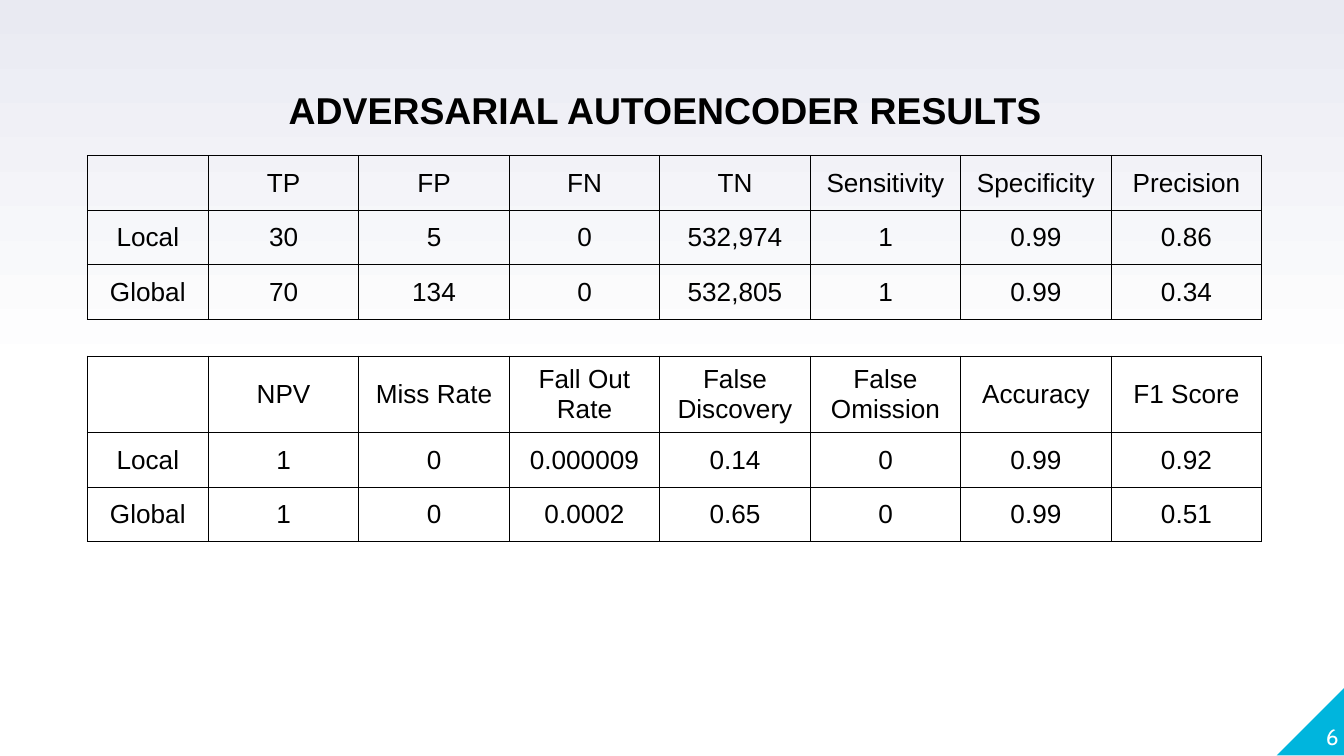
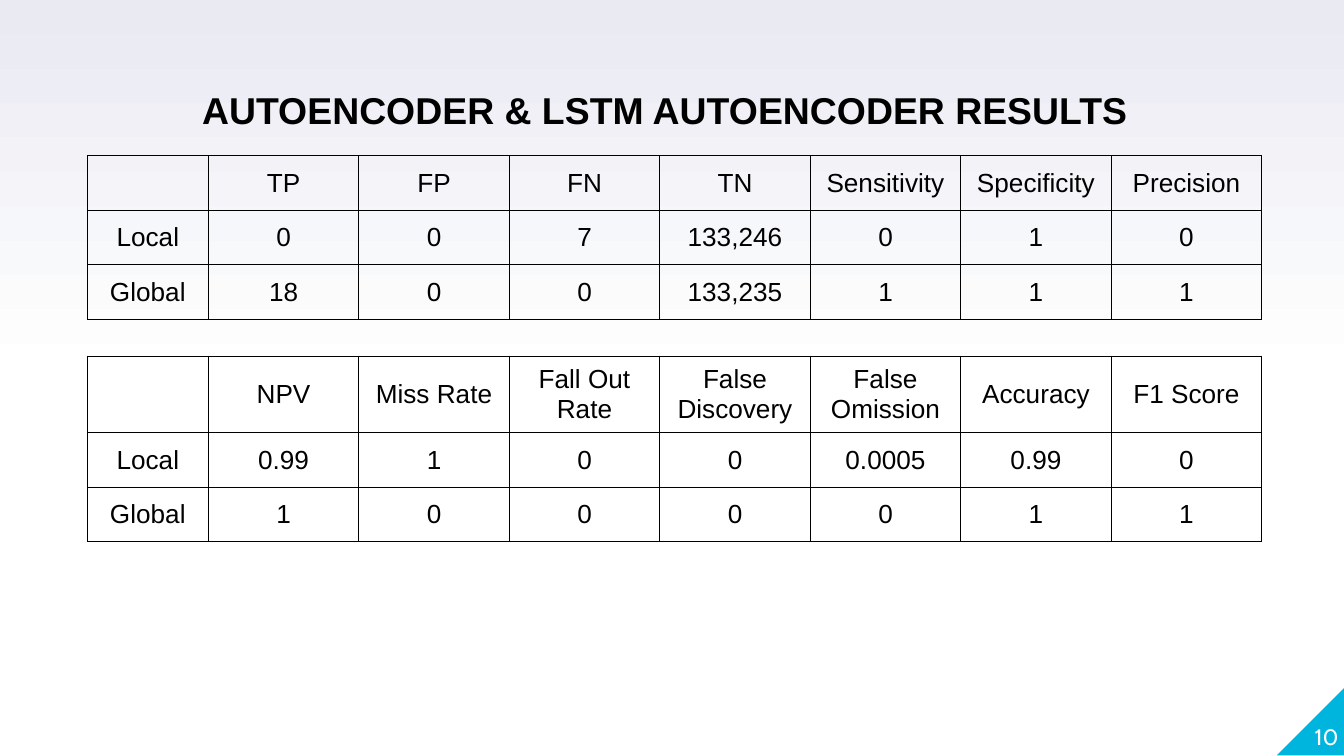
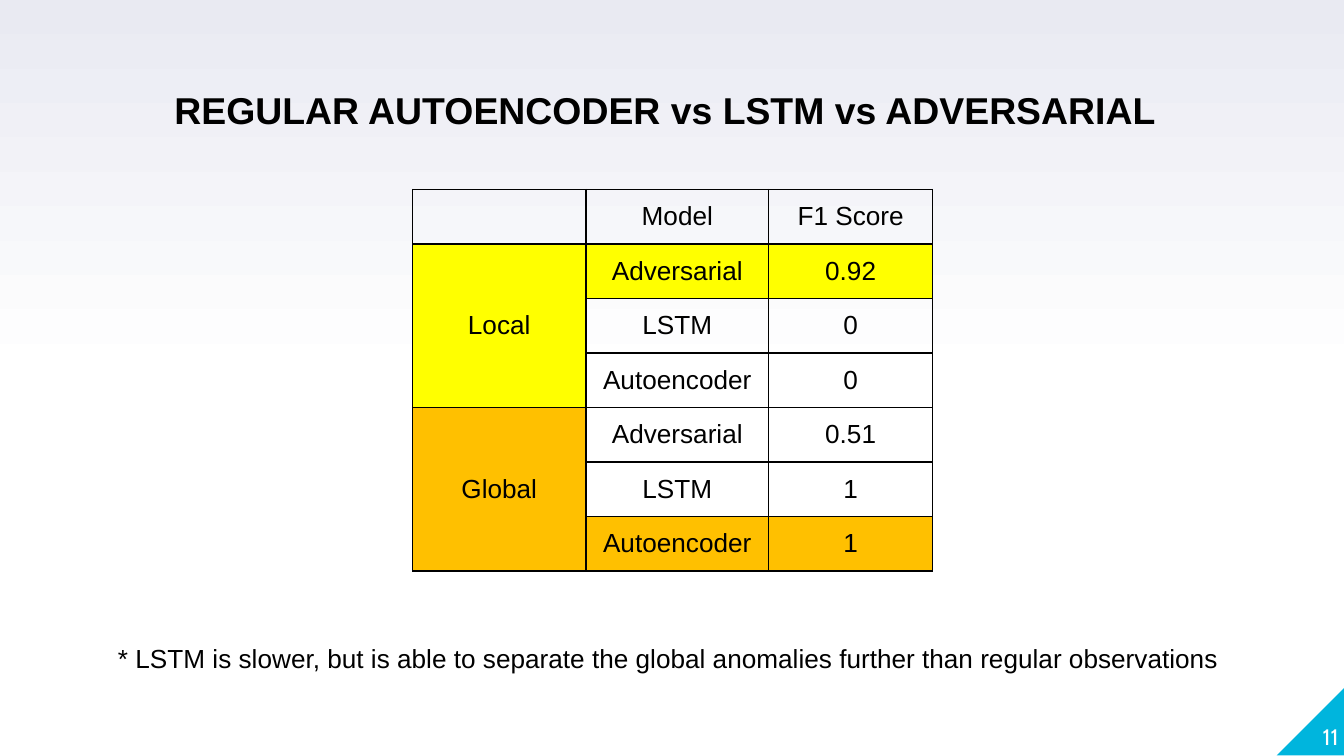
from dataclasses import dataclass, field

from pptx import Presentation
from pptx.dml.color import RGBColor
from pptx.enum.shapes import MSO_SHAPE
from pptx.enum.text import MSO_ANCHOR, MSO_AUTO_SIZE, PP_ALIGN
from pptx.oxml import parse_xml
from pptx.oxml.ns import nsdecls
from pptx.presentation import Presentation as Deck
from pptx.slide import Slide
from pptx.text.text import _Paragraph as Paragraph
from pptx.util import Inches, Length, Pt

BLACK, WHITE = "000000", "FFFFFF"
LAVENDER, CYAN = "E9EAF2", "00B5DD"
YELLOW, AMBER = "FFFF00", "FFC000"
BODY_FONT, NUMBER_FONT = "Arial", "Cabin"
PAGE_WIDTH = Inches(10)
PAGE_HEIGHT = PAGE_WIDTH * 9 // 16
ROW_HEIGHT = Inches(2.84 / 7)
TALL_HEADER = Inches(0.57)
BORDER_WIDTH = Pt(0.75)
METRIC_WIDTHS = [0.9] + [1.12] * 7
COUNT_HEADER = ["", "TP", "FP", "FN", "TN", "Sensitivity", "Specificity", "Precision"]
RATE_HEADER = ["", "NPV", "Miss Rate", "Fall Out Rate", "False Discovery",
               "False Omission", "Accuracy", "F1 Score"]


@dataclass
class Grid:
    left: float
    top: float
    column_widths: list[float]
    rows: list[list[str]]
    header_height: Length = ROW_HEIGHT
    fills: dict[tuple[int, int], str] = field(default_factory=dict)
    merges: list[tuple[int, int]] = field(default_factory=list)  # first and last row, column 0


@dataclass
class ResultPage:
    number: int
    title: str
    title_width: float
    grids: list[Grid]
    note: str = ""


def count_grid(local: list[str], overall: list[str]) -> Grid:
    return Grid(0.65, 1.16, METRIC_WIDTHS,
                [COUNT_HEADER, ["Local", *local], ["Global", *overall]])


def rate_grid(local: list[str], overall: list[str]) -> Grid:
    return Grid(0.65, 2.65, METRIC_WIDTHS,
                [RATE_HEADER, ["Local", *local], ["Global", *overall]], TALL_HEADER)


RESULT_PAGES = [
    ResultPage(6, "ADVERSARIAL AUTOENCODER RESULTS", 5.9, [
        count_grid(["30", "5", "0", "532,974", "1", "0.99", "0.86"],
                   ["70", "134", "0", "532,805", "1", "0.99", "0.34"]),
        rate_grid(["1", "0", "0.000009", "0.14", "0", "0.99", "0.92"],
                  ["1", "0", "0.0002", "0.65", "0", "0.99", "0.51"]),
    ]),
    ResultPage(10, "AUTOENCODER & LSTM AUTOENCODER RESULTS", 7.19, [
        count_grid(["0", "0", "7", "133,246", "0", "1", "0"],
                   ["18", "0", "0", "133,235", "1", "1", "1"]),
        rate_grid(["0.99", "1", "0", "0", "0.0005", "0.99", "0"],
                  ["1", "0", "0", "0", "0", "1", "1"]),
    ]),
    ResultPage(11, "REGULAR AUTOENCODER vs LSTM vs ADVERSARIAL", 7.6, [
        Grid(3.07, 1.41, [1.29, 1.36, 1.22], [
            ["", "Model", "F1 Score"],
            ["Local", "Adversarial", "0.92"],
            ["", "LSTM", "0"],
            ["", "Autoencoder", "0"],
            ["Global", "Adversarial", "0.51"],
            ["", "LSTM", "1"],
            ["", "Autoencoder", "1"],
        ], fills={(1, 0): YELLOW, (1, 1): YELLOW, (1, 2): YELLOW,
                  (4, 0): AMBER, (6, 1): AMBER, (6, 2): AMBER},
            merges=[(1, 3), (4, 6)]),
    ], "* LSTM is slower, but is able to separate the global anomalies "
       "further than regular observations"),
]


def color(value: str) -> RGBColor:
    return RGBColor.from_string(value)


def style(para: Paragraph, size: int, name: str = BODY_FONT, ink: str = BLACK,
          bold: bool = False, align: PP_ALIGN = PP_ALIGN.LEFT) -> None:
    para.alignment = align
    para.font.size = Pt(size)
    para.font.name = name
    para.font.bold = bold
    para.font.color.rgb = color(ink)


def set_background(deck: Deck) -> None:
    """Give every page white that fades to lavender over the top half."""
    fill = deck.slide_master.background.fill
    fill.gradient()
    fill.gradient_angle = 90
    for stop, position, value in zip(fill.gradient_stops, (0.5, 1), (WHITE, LAVENDER)):
        stop.position = position
        stop.color.rgb = color(value)


def add_page_number(page: Slide, number: int) -> None:
    corner = page.shapes.add_shape(MSO_SHAPE.RIGHT_TRIANGLE, Inches(9.5), Inches(5.11),
                                   Inches(0.51), Inches(0.51))
    corner.shadow.inherit = False
    corner.fill.solid()
    corner.fill.fore_color.rgb = color(CYAN)
    corner.line.fill.background()
    corner.element.spPr.xfrm.set("flipH", "1")

    box = page.shapes.add_textbox(Inches(9.46), Inches(5.07), Inches(0.5), Inches(0.51))
    frame = box.text_frame
    frame.word_wrap = True
    frame.vertical_anchor = MSO_ANCHOR.BOTTOM
    frame.margin_left = frame.margin_right = frame.margin_top = frame.margin_bottom = 0
    frame.text = str(number)
    style(frame.paragraphs[0], 12, NUMBER_FONT, WHITE, align=PP_ALIGN.RIGHT)


def add_centered_line(page: Slide, text: str, top: float, width: float, height: float,
                      size: int, bold: bool = False) -> None:
    """Add one unwrapped line in a box centred on the page."""
    box_width = Inches(width)
    box = page.shapes.add_textbox((PAGE_WIDTH - box_width) // 2, Inches(top),
                                  box_width, Inches(height))
    frame = box.text_frame
    frame.word_wrap = False
    frame.auto_size = MSO_AUTO_SIZE.SHAPE_TO_FIT_TEXT
    frame.text = text
    style(frame.paragraphs[0], size, bold=bold)


def add_grid(page: Slide, grid: Grid) -> None:
    height = grid.header_height + ROW_HEIGHT * (len(grid.rows) - 1)
    table = page.shapes.add_table(len(grid.rows), len(grid.column_widths),
                                  Inches(grid.left), Inches(grid.top),
                                  Inches(sum(grid.column_widths)), height).table
    table.first_row = table.horz_banding = False
    for column, width in zip(table.columns, grid.column_widths):
        column.width = Inches(width)
    for index, row in enumerate(table.rows):
        row.height = ROW_HEIGHT if index else grid.header_height

    for row_index, texts in enumerate(grid.rows):
        for column_index, text in enumerate(texts):
            cell = table.cell(row_index, column_index)
            cell.text = text
            cell.vertical_anchor = MSO_ANCHOR.MIDDLE
            style(cell.text_frame.paragraphs[0], 14, align=PP_ALIGN.CENTER)
            properties = cell._tc.get_or_add_tcPr()
            for side in ("lnL", "lnR", "lnT", "lnB"):
                properties.append(parse_xml(
                    f'<a:{side} {nsdecls("a")} w="{BORDER_WIDTH}"><a:solidFill>'
                    f'<a:srgbClr val="{BLACK}"/></a:solidFill></a:{side}>'))
            fill = grid.fills.get((row_index, column_index))
            if fill:
                cell.fill.solid()
                cell.fill.fore_color.rgb = color(fill)
            else:
                cell.fill.background()
    for first, last in grid.merges:
        table.cell(first, 0).merge(table.cell(last, 0))


def main() -> None:
    deck = Presentation()
    deck.slide_width, deck.slide_height = PAGE_WIDTH, PAGE_HEIGHT
    set_background(deck)
    for result in RESULT_PAGES:
        page = deck.slides.add_slide(deck.slide_layouts[6])
        add_page_number(page, result.number)
        for grid in result.grids:
            add_grid(page, grid)
        add_centered_line(page, result.title, 0.6, result.title_width, 0.44, 20, bold=True)
        if result.note:
            add_centered_line(page, result.note, 4.73, 8.44, 0.34, 14)
    deck.save("out.pptx")


if __name__ == "__main__":
    main()
